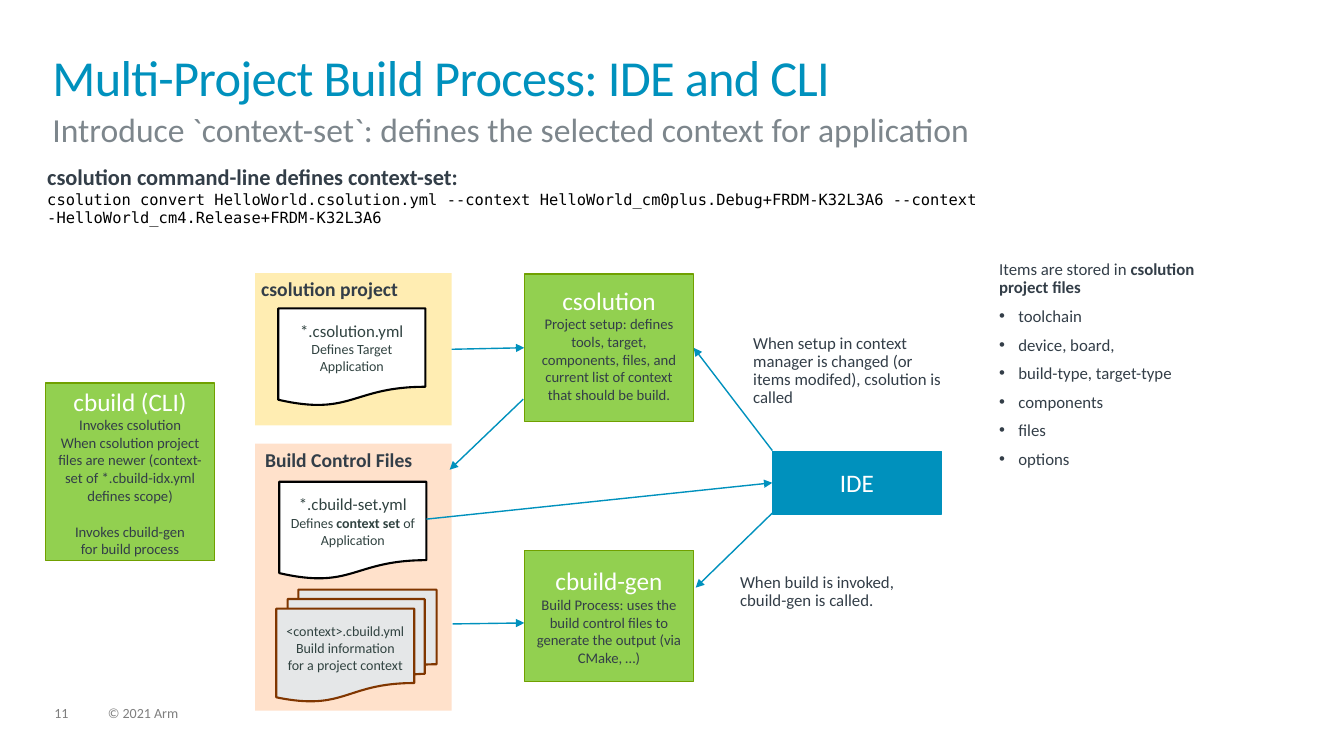
from lxml.etree import SubElement
from pptx import Presentation
from pptx.dml.color import RGBColor
from pptx.enum.shapes import MSO_CONNECTOR, MSO_SHAPE
from pptx.enum.text import MSO_ANCHOR, MSO_AUTO_SIZE, PP_ALIGN
from pptx.oxml.ns import qn
from pptx.util import Inches, Pt

SLATE, TEAL, BLUE = "333E48", "314341", "0091BD"
WHITE, BLACK, GREY = "FFFFFF", "000000", "7F7F7F"
GREEN, DARK_GREEN = "92D050", "70A000"
NO_INSETS = (0, 0, 0, 0)
SHAPE_INSETS = (0.1, 0.05, 0.1, 0.05)
CENTER = {"alignment": PP_ALIGN.CENTER}
NOTE = {"line_spacing": 0.9, "space_after": Pt(6)}
LABEL = {**NOTE, **CENTER}
BULLET = {"space_before": Pt(0), "space_after": Pt(6)}


def rgb(value):
    """Turn a hex string into a colour."""
    return RGBColor.from_string(value)


def run(text, size, color=SLATE, **extra):
    """Describe a run of text as a pair of its words and font values."""
    return text, {"name": "Calibri", "size": Pt(size), "bold": False, **extra}, color


def set_attributes(target, values):
    """Set each value of a dict on the target."""
    for key, value in values.items():
        setattr(target, key, value)


def add_runs(paragraph, runs):
    """Add the described runs, with a line break at each newline."""
    for text, font, color in runs:
        for number, line in enumerate(text.split("\n")):
            if number:
                paragraph.add_line_break()
            piece = paragraph.add_run()
            piece.text = line
            set_attributes(piece.font, font)
            piece.font.color.rgb = rgb(color)


def set_bullet(paragraph, char=None):
    """Give a paragraph a hanging bullet, or none."""
    properties = paragraph._p.get_or_add_pPr()
    indent = Inches(0.19) if char else 0
    properties.set("marL", str(indent))
    properties.set("indent", str(-indent))
    if char:
        SubElement(properties, qn("a:buChar"), char=char)
    else:
        SubElement(properties, qn("a:buNone"))


def write(frame, paragraphs, insets=NO_INSETS, anchor=MSO_ANCHOR.TOP):
    """Fill a text frame with pairs of runs and paragraph format."""
    left, top, right, bottom = map(Inches, insets)
    set_attributes(frame, {
        "word_wrap": True, "auto_size": MSO_AUTO_SIZE.NONE, "vertical_anchor": anchor,
        "margin_left": left, "margin_top": top, "margin_right": right, "margin_bottom": bottom})
    for number, (runs, layout) in enumerate(paragraphs):
        paragraph = frame.add_paragraph() if number else frame.paragraphs[0]
        set_attributes(paragraph, layout)
        add_runs(paragraph, runs)


def place(shape, box):
    """Move a placeholder to a box in inches."""
    set_attributes(shape, dict(zip(("left", "top", "width", "height"), map(Inches, box))))


def add_text(slide, box, paragraphs, insets=NO_INSETS):
    """Add a text box."""
    write(slide.shapes.add_textbox(*map(Inches, box)).text_frame, paragraphs, insets)


def add_block(slide, kind, box, fill, line=None, width=1, paragraphs=(), insets=SHAPE_INSETS):
    """Add a filled shape with centred text."""
    block = slide.shapes.add_shape(kind, *map(Inches, box))
    block.shadow.inherit = False
    block.fill.solid()
    block.fill.fore_color.rgb = rgb(fill)
    if line:
        block.line.color.rgb = rgb(line)
        block.line.width = Pt(width)
    else:
        block.line.fill.background()
    centred = [(runs, {**CENTER, **layout}) for runs, layout in paragraphs]
    write(block.text_frame, centred, insets, MSO_ANCHOR.MIDDLE)
    return block


def add_panel(slide, box, fill):
    """Add a half transparent panel."""
    panel = add_block(slide, MSO_SHAPE.RECTANGLE, box, fill)
    color = panel._element.spPr.find(qn("a:solidFill"))[0]
    SubElement(color, qn("a:alpha"), val="50000")
    return panel


def add_tool(slide, box, name, *details, insets=SHAPE_INSETS):
    """Add a green tool box with its name and details."""
    paragraphs = [([run(name, 18, WHITE)], {})]
    paragraphs += [([run(text, 10.5)], {"space_before": Pt(gap)}) for text, gap in details]
    return add_block(slide, MSO_SHAPE.RECTANGLE, box, GREEN, DARK_GREEN, 1, paragraphs, insets)


def add_document(slide, left, top, name, *details):
    """Add a document shape with a file name and its description."""
    add_block(slide, MSO_SHAPE.FLOWCHART_DOCUMENT, (left, top, 1.46, 0.97), WHITE, BLACK, 1.5,
              [([run(name + "\n", 12, TEAL), *details], {})])


def add_arrow(slide, start, end, source=None, target=None):
    """Add an arrow, joined to (shape, side) pairs where given."""
    arrow = slide.shapes.add_connector(MSO_CONNECTOR.STRAIGHT, *map(Inches, start + end))
    if source:
        arrow.begin_connect(*source)
    if target:
        arrow.end_connect(*target)
    arrow.line.color.rgb = rgb(BLUE)
    arrow.line.width = Pt(1)
    SubElement(arrow.line._get_or_add_ln(), qn("a:tailEnd"), type="triangle")
    SubElement(arrow._element.spPr, qn("a:effectLst"))


def add_heading(slide):
    """Fill the title, subtitle and list placeholders."""
    title, subtitle, items = slide.placeholders
    place(title, (0.52, 0.52, 12.28, 0.56))
    write(title.text_frame, [([run("Multi-Project Build Process: IDE and CLI", 36, BLUE)],
                              {"alignment": PP_ALIGN.LEFT, "line_spacing": 0.85})],
          anchor=MSO_ANCHOR.MIDDLE)
    title.text_frame.paragraphs[0].runs[0]._r.get_or_add_rPr().set("spc", "-50")

    place(subtitle, (0.52, 1.08, 12.28, 0.38))
    set_bullet(subtitle.text_frame.paragraphs[0])
    write(subtitle.text_frame, [([run(
        "Introduce `context-set`: defines the selected context for application", 24, "7D868C")],
        {"space_before": Pt(0)})])

    place(items, (9.91, 2.59, 1.95, 2.28))
    names = ("toolchain", "device, board,", "build-type, target-type", "components", "files", "options")
    intro = [run("Items are stored in ", 12), run("csolution project files", 12, bold=True)]
    write(items.text_frame, [(intro, {**NOTE, "space_before": Pt(0)})]
          + [([run(name, 12)], BULLET) for name in names])
    first, *rest = items.text_frame.paragraphs
    set_bullet(first)
    for paragraph in rest:
        set_bullet(paragraph, "•")


def main():
    """Build the slide and save it."""
    deck = Presentation()
    deck.slide_width, deck.slide_height = Inches(13.33), Inches(7.5)
    slide = deck.slides.add_slide(deck.slide_layouts[3])
    add_heading(slide)

    add_panel(slide, (2.53, 4.4, 1.95, 2.65), "FFC499")
    project = add_panel(slide, (2.53, 2.71, 1.95, 1.51), "FFDD66")
    for left, top, label in ((2.39, 2.77, "csolution project"), (2.48, 4.47, "Build Control Files")):
        add_text(slide, (left, top, 1.76, 0.21), [([run(label, 14, bold=True)], LABEL)])

    add_document(slide, 2.76, 3.06, "*.csolution.yml", run("Defines Target Application", 10, TEAL))
    add_document(slide, 2.77, 4.78, "*.cbuild-set.yml", run("Defines ", 10, TEAL),
                 run("context set", 10, TEAL, bold=True), run(" of Application", 10, TEAL))
    add_block(slide, MSO_SHAPE.FLOWCHART_MULTIDOCUMENT, (2.74, 5.85, 1.59, 1.11), "E5E7E8", "803600", 1.5,
              [([run("<context>.cbuild.yml Build information\nfor a project context", 10, TEAL)], {})],
              (0, 0, 0, 0.1))

    add_tool(slide, (0.45, 3.8, 1.68, 1.76), "cbuild (CLI)", ("Invokes csolution", 0),
             ("When csolution project files are newer (context-set of *.cbuild-idx.yml defines scope)", 0),
             ("Invokes cbuild-gen\nfor build process", 13))
    csolution = add_tool(slide, (5.2, 2.72, 1.68, 1.46), "csolution", (
        "Project setup: defines tools, target, components, files, and "
        "current list of context that should be build.", 0), insets=(0.1, 0.05, 0.1, 0.12))
    add_tool(slide, (5.2, 5.46, 1.68, 1.3), "cbuild-gen", (
        "Build Process: uses the build control files to generate the output (via CMake, …)", 0))
    ide = add_block(slide, MSO_SHAPE.RECTANGLE, (7.66, 4.48, 1.68, 0.62), BLUE, BLUE, 1,
                    [([run("IDE", 18, WHITE)], {})])

    add_arrow(slide, (4.48, 3.46), (5.2, 3.45), (project, 3), (csolution, 1))
    add_arrow(slide, (5.19, 3.96), (4.46, 4.66))
    add_arrow(slide, (4.23, 5.15), (7.66, 4.79), target=(ide, 1))
    add_arrow(slide, (7.66, 4.47), (6.88, 3.45), target=(csolution, 3))
    add_arrow(slide, (7.66, 5.09), (6.9, 5.83))
    add_arrow(slide, (4.49, 6.19), (5.2, 6.18))

    for box, text, size, color in (
            ((7.47, 3.32, 1.95, 0.73),
             "When setup in context manager is changed (or items modifed), csolution is called", 12, SLATE),
            ((7.34, 5.69, 1.95, 0.36), "When build is invoked,\ncbuild-gen is called.", 12, SLATE),
            ((0.54, 7.01, 0.34, 0.15), "11", 10, GREY),
            ((1.07, 7.01, 5.07, 0.15), "© 2021 Arm", 10, GREY)):
        add_text(slide, box, [([run(text, size, color)], NOTE)])
    command = ("csolution convert HelloWorld.csolution.yml --context HelloWorld_cm0plus.Debug+FRDM-K32L3A6 "
               "--context -HelloWorld_cm4.Release+FRDM-K32L3A6")
    add_text(slide, (0.37, 1.57, 11.85, 0.56), [
        ([run("csolution command-line defines context-set:", 16, bold=True)], {}),
        ([run(command, 11, BLACK, name="DejaVu Sans Mono")], {})], SHAPE_INSETS)

    deck.save("out.pptx")


if __name__ == "__main__":
    main()
